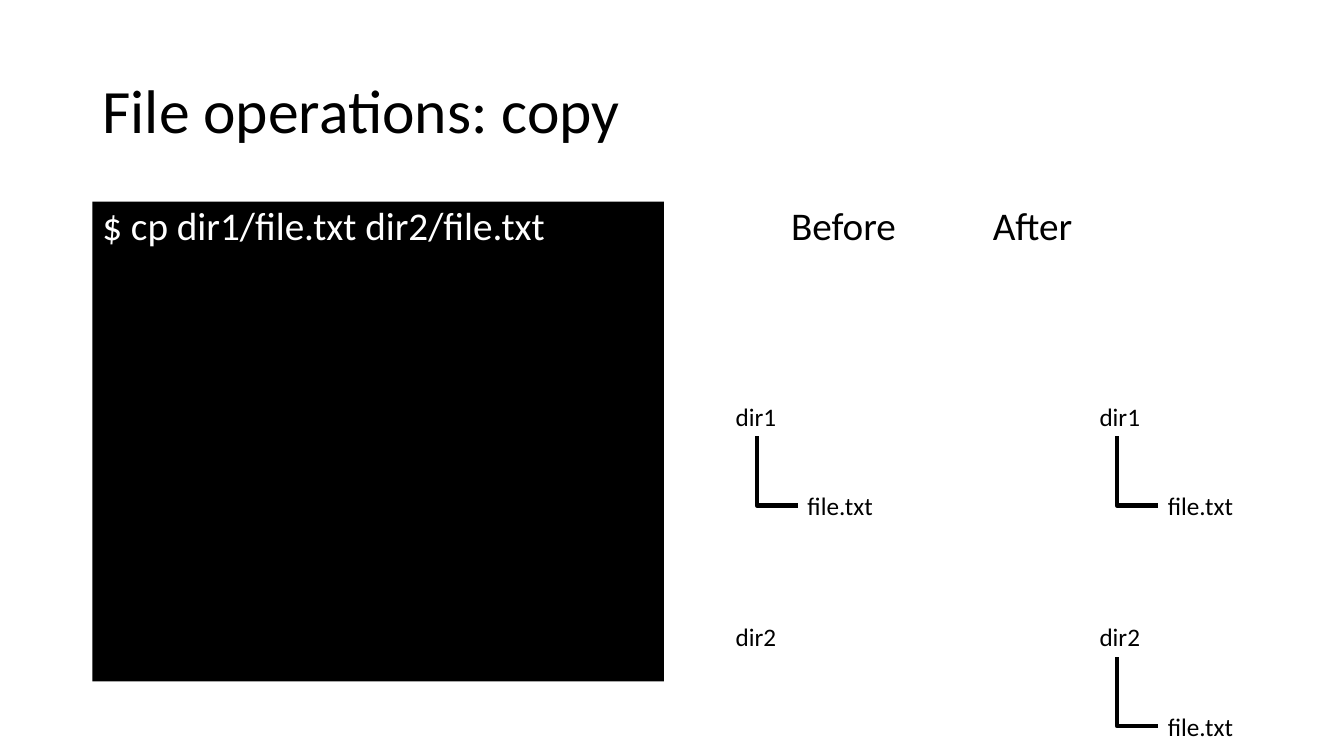
from lxml.etree import SubElement
from pptx import Presentation
from pptx.dml.color import RGBColor
from pptx.enum.shapes import MSO_CONNECTOR as CONN, MSO_SHAPE as SHAPE
from pptx.enum.text import MSO_ANCHOR as ANCHOR, MSO_AUTO_SIZE as AUTO, PP_ALIGN as ALIGN
from pptx.oxml.ns import qn
from pptx.util import Cm, Pt

COLORS = {"ink": "000000", "paper": "FFFFFF"}
FONT = "Calibri"
PANEL_TOP, PANEL_W, PANEL_H = 5.08, 14.4, 12.09
DIR_W, FILE_W, LABEL_H = 1.55, 2.18, 1.02
BRANCH_W, BRANCH_H = 1.03, 1.74


def rgb(name):
    return RGBColor.from_string(COLORS[name])


def write(tf, text, size, color="ink", spacing=None, tabs=()):
    tf.text = text
    p = tf.paragraphs[0]
    p.alignment = ALIGN.LEFT
    if tabs:
        tab_list = SubElement(p._p.get_or_add_pPr(), qn("a:tabLst"))
        for pos in tabs:
            SubElement(tab_list, qn("a:tab"), pos=str(Cm(pos)), algn="l")
    if spacing:
        p.line_spacing = spacing
    p.font.name = FONT
    p.font.size = Pt(size)
    p.font.color.rgb = rgb(color)


def add_title(s, text):
    title = s.shapes.title
    title.left, title.top, title.width, title.height = Cm(2.33), Cm(1.01), Cm(29.21), Cm(3.68)
    title.text_frame.vertical_anchor = ANCHOR.MIDDLE
    write(title.text_frame, text, 44, spacing=0.9)


def add_terminal(s, left, command):
    sp = s.shapes.add_shape(SHAPE.RECTANGLE, Cm(left), Cm(PANEL_TOP), Cm(PANEL_W), Cm(PANEL_H))
    sp.shadow.inherit = False
    sp.fill.solid()
    sp.fill.fore_color.rgb = rgb("ink")
    sp.line.fill.background()
    sp.text_frame.vertical_anchor = ANCHOR.TOP
    write(sp.text_frame, command, 28, "paper", 0.9)


def add_headings(s, left, text):
    sp = s.shapes.add_textbox(Cm(left), Cm(PANEL_TOP), Cm(PANEL_W), Cm(PANEL_H))
    sp.text_frame.word_wrap = True
    write(sp.text_frame, text, 28, spacing=0.9, tabs=(2.54, 7.62))


def add_label(s, left, top, width, text):
    sp = s.shapes.add_textbox(Cm(left), Cm(top), Cm(width), Cm(LABEL_H))
    sp.text_frame.word_wrap = False
    sp.text_frame.auto_size = AUTO.SHAPE_TO_FIT_TEXT
    write(sp.text_frame, text, 18)


def add_branch(s, left, top):
    """Draw an elbow that runs down and then right, as a flipped elbow turned by 270 degrees."""
    cx, cy = left + BRANCH_W / 2, top + BRANCH_H / 2
    line = s.shapes.add_connector(
        CONN.ELBOW,
        Cm(cx + BRANCH_H / 2), Cm(cy - BRANCH_W / 2),
        Cm(cx - BRANCH_H / 2), Cm(cy + BRANCH_W / 2))
    sp_pr = line._element.spPr
    sp_pr.find(qn("a:xfrm")).set("rot", str(270 * 60000))
    sp_pr.find(qn("a:prstGeom")).set("prst", "bentConnector2")
    line.line.color.rgb = rgb("ink")
    line.line.width = Pt(3)
    SubElement(sp_pr, qn("a:effectLst"))


def add_directory(s, left, top, stem, name, file=None):
    """Label a directory and, if it holds a file, hang that file from it at x = stem."""
    add_label(s, left, top, DIR_W, name)
    if file:
        branch_top = top + LABEL_H
        file_top = branch_top + BRANCH_H - LABEL_H / 2
        add_branch(s, stem, branch_top)
        add_label(s, stem + BRANCH_W, file_top, FILE_W, file)


def main():
    prs = Presentation()
    prs.slide_width, prs.slide_height = Cm(33.87), Cm(19.05)
    s = prs.slides.add_slide(prs.slide_layouts[5])
    add_title(s, "File operations: copy")
    add_terminal(s, 2.33, "$ cp dir1/file.txt dir2/file.txt")
    add_headings(s, 17.15, "\tBefore\tAfter")

    before, after = (18.29, 19.07), (27.46, 28.15)
    dir1_top, dir2_top = 9.98, 15.54
    for (left, stem), dir2_file in ((before, None), (after, "file.txt")):
        add_directory(s, left, dir1_top, stem, "dir1", "file.txt")
        add_directory(s, left, dir2_top, stem, "dir2", dir2_file)
    prs.save("out.pptx")


if __name__ == "__main__":
    main()
